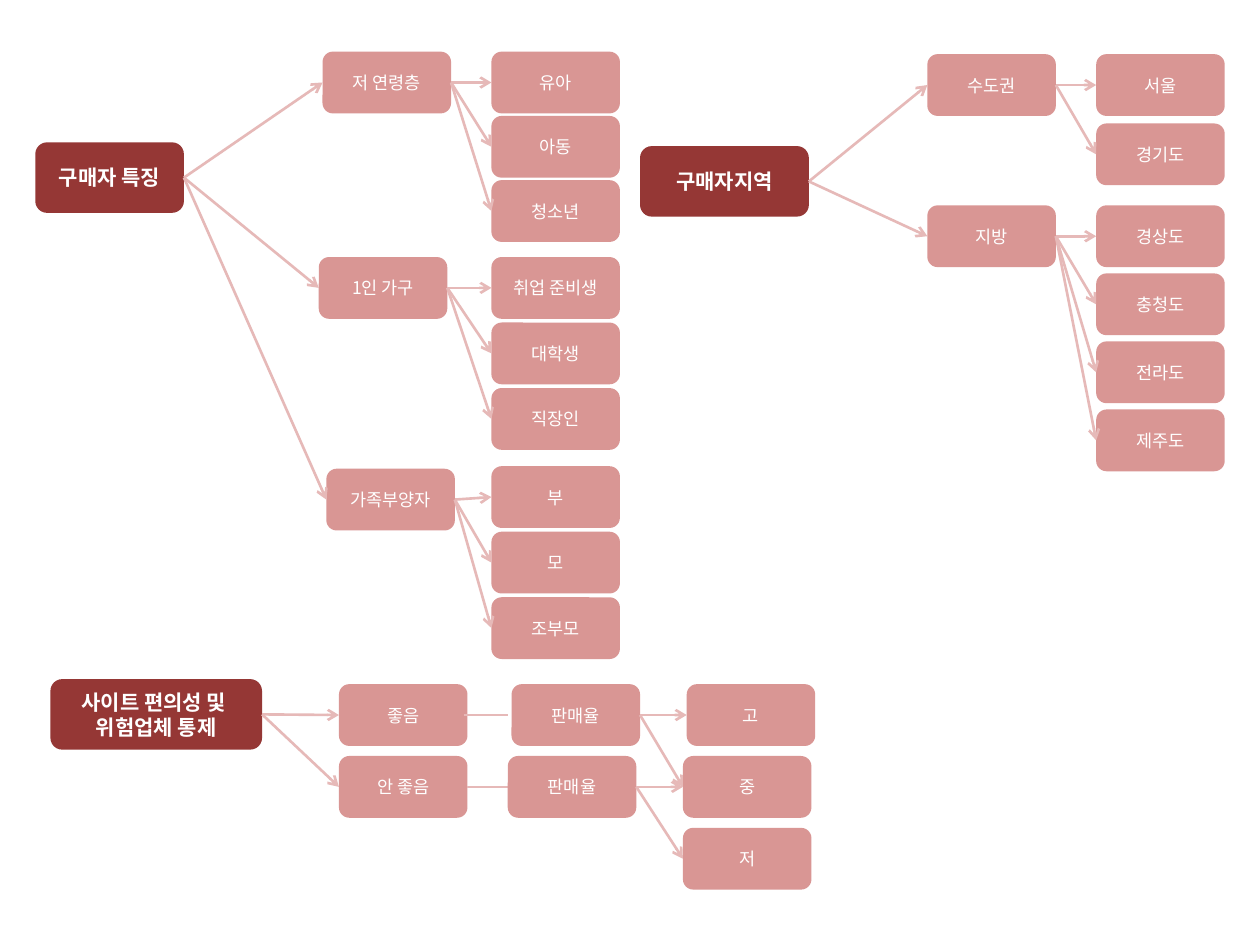
from pptx import Presentation
from pptx.dml.color import RGBColor
from pptx.enum.shapes import MSO_CONNECTOR as CONN, MSO_SHAPE as SHAPE
from pptx.enum.text import MSO_ANCHOR as ANCHOR, PP_ALIGN as ALIGN
from pptx.oxml.ns import qn
from pptx.util import Inches, Pt
from lxml.etree import SubElement

DARK_RED = RGBColor(0x95, 0x37, 0x35)
ROSE = RGBColor(0xD9, 0x96, 0x94)
PALE_ROSE = RGBColor(0xE6, 0xB9, 0xB8)
WHITE = RGBColor(0xFF, 0xFF, 0xFF)
FONT = "Noto Sans CJK KR"
NODE_W, NODE_H, ROOT_H = 1.02, 0.49, 0.56
LEFT_SITE, RIGHT_SITE = 1, 3


class TreeSlide:
    """Draws decision trees on one slide in a shared style."""

    def __init__(self, prs):
        """Add a blank slide."""
        self.s = prs.slides.add_slide(prs.slide_layouts[6])
        self.group = None

    def start_tree(self):
        """Open a new group for the next tree."""
        self.group = self.s.shapes.add_group_shape()

    def box(self, text, x, y, w, h, fill, size, bold=False):
        """Add a rounded box with centred text, one paragraph per line."""
        sp = self.group.shapes.add_shape(
            SHAPE.ROUNDED_RECTANGLE, Inches(x), Inches(y), Inches(w), Inches(h))
        sp.shadow.inherit = False
        sp.fill.solid()
        sp.fill.fore_color.rgb = fill
        sp.line.fill.background()
        tf = sp.text_frame
        tf.word_wrap = True
        tf.vertical_anchor = ANCHOR.MIDDLE
        for i, line in enumerate(text.split("\n")):
            p = tf.add_paragraph() if i else tf.paragraphs[0]
            p.alignment = ALIGN.CENTER
            r = p.add_run()
            r.text = line
            r.font.name, r.font.size, r.font.bold = FONT, Pt(size), bold
            r.font.color.rgb = WHITE
            SubElement(r.font._element, qn("a:ea")).set("typeface", FONT)
        return sp

    def root(self, text, x, y, w):
        """Add the dark box that starts a tree."""
        return self.box(text, x, y, w, ROOT_H, DARK_RED, 12, True)

    def node(self, text, x, y):
        """Add a light box."""
        return self.box(text, x, y, NODE_W, NODE_H, ROSE, 10)

    def line(self, x1, y1, x2, y2):
        """Add a plain straight line."""
        c = self.group.shapes.add_connector(
            CONN.STRAIGHT, Inches(x1), Inches(y1), Inches(x2), Inches(y2))
        c.line.color.rgb = PALE_ROSE
        c.line.width = Pt(1.5)
        SubElement(c._element.spPr, qn("a:effectLst"))
        return c

    def arrow(self, start, end):
        """Join the right side of one box to the left side of another."""
        c = self.line(0, 0, 0, 0)
        c.begin_connect(start, RIGHT_SITE)
        c.end_connect(end, LEFT_SITE)
        SubElement(c.line._get_or_add_ln(), qn("a:tailEnd")).set("type", "arrow")

    def branch(self, root, name, x, y, leaves, leaf_x, leaf_y, step):
        """Add a node under the root with an even column of leaves."""
        parent = self.node(name, x, y)
        self.arrow(root, parent)
        for i, leaf in enumerate(leaves):
            self.arrow(parent, self.node(leaf, leaf_x, leaf_y + i * step))


prs = Presentation()
prs.slide_width, prs.slide_height = Inches(10), Inches(7.5)
slide = TreeSlide(prs)

TREES = [
    (("구매자 특징", 0.28, 1.13, 1.18), 3.9, [
        ("저 연령층", 2.56, 0.41, ["유아", "아동", "청소년"], 0.41, 0.51),
        ("1인 가구", 2.53, 2.04, ["취업 준비생", "대학생", "직장인"], 2.04, 0.52),
        ("가족부양자", 2.59, 3.72, ["부", "모", "조부모"], 3.7, 0.52),
    ]),
    (("구매자지역", 5.08, 1.16, 1.34), 8.7, [
        ("수도권", 7.36, 0.43, ["서울", "경기도"], 0.43, 0.55),
        ("지방", 7.36, 1.63, ["경상도", "충청도", "전라도", "제주도"], 1.63, 0.54),
    ]),
]
for root_args, leaf_x, branches in TREES:
    slide.start_tree()
    root = slide.root(*root_args)
    for name, x, y, leaves, leaf_y, step in branches:
        slide.branch(root, name, x, y, leaves, leaf_x, leaf_y, step)

slide.start_tree()
site = slide.root("사이트 편의성 및 \n위험업체 통제", 0.4, 5.39, 1.68)
ROW_Y = [5.43 + 0.57 * i for i in range(3)]
high, middle, low = [slide.node(text, x, y) for text, x, y in
                     zip(["고", "중", "저"], [5.45, 5.42, 5.42], ROW_Y)]
for quality, line_x, sales_x, y, levels in [
        ("좋음", 3.68, 4.06, ROW_Y[0], [high, middle]),
        ("안 좋음", 3.71, 4.03, ROW_Y[1], [middle, low])]:
    slide.arrow(site, slide.node(quality, 2.69, y))
    slide.line(line_x, y + NODE_H / 2, 4.03, y + NODE_H / 2)
    sales = slide.node("판매율", sales_x, y)
    for level in levels:
        slide.arrow(sales, level)

prs.save("out.pptx")
